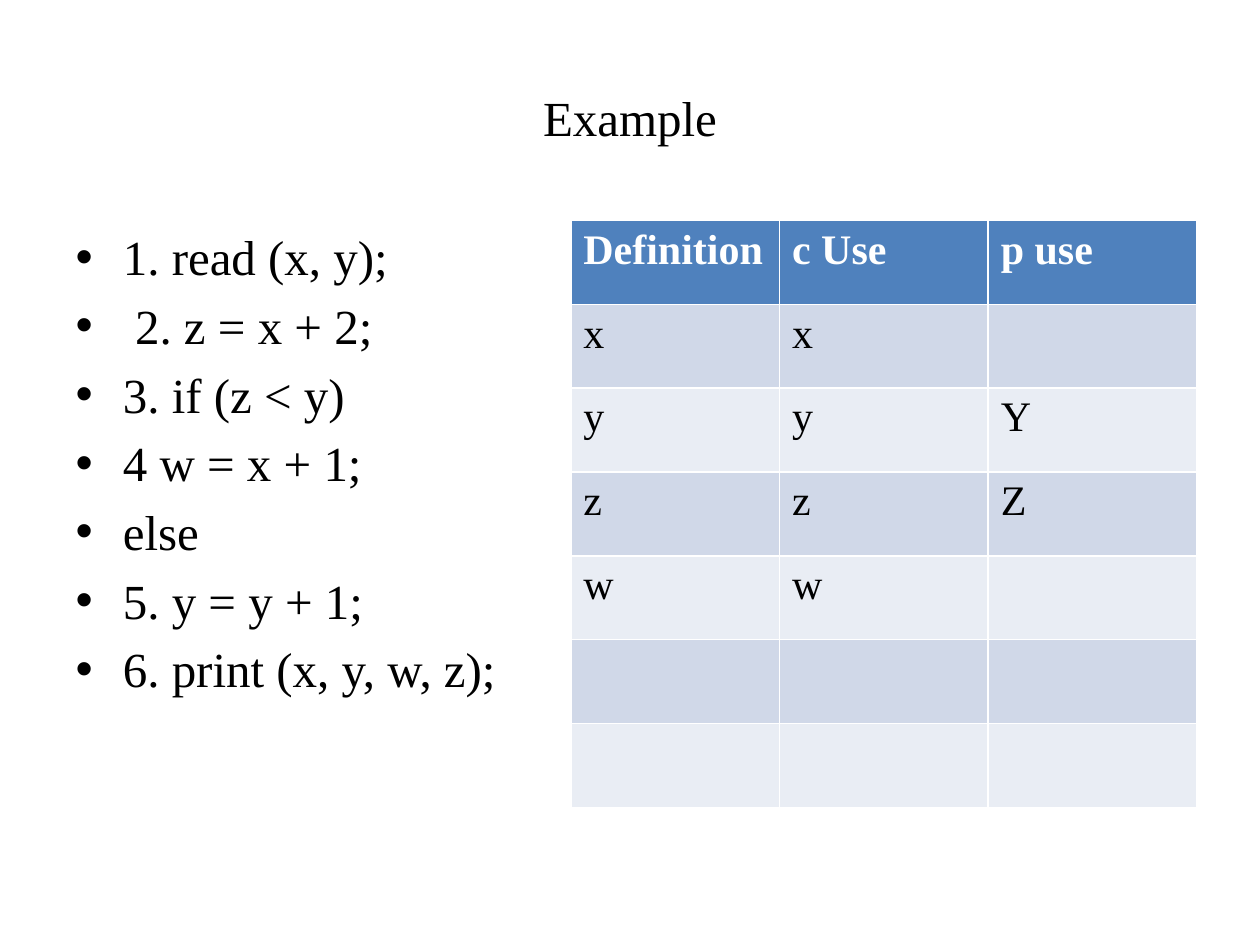
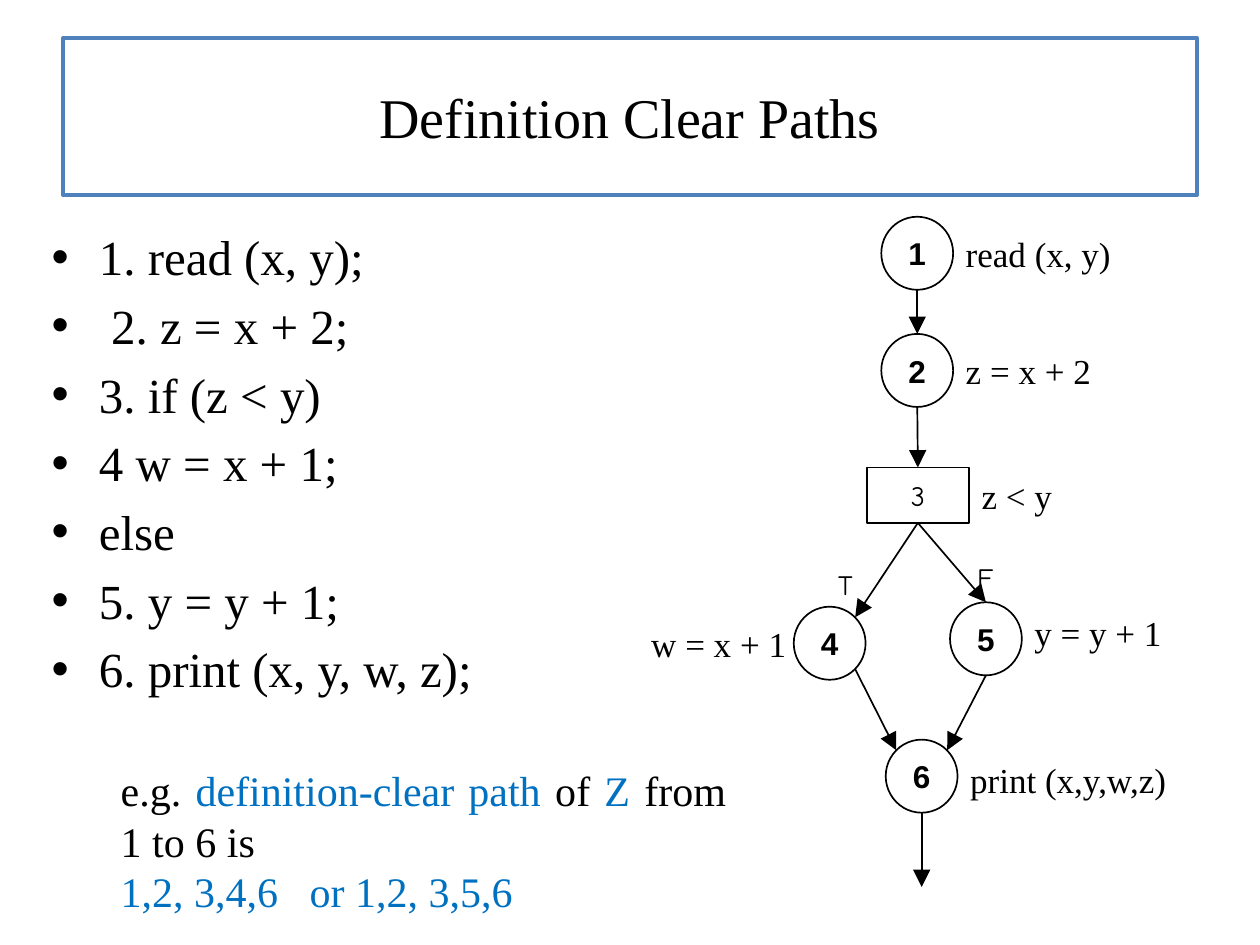
from dataclasses import dataclass

from lxml.etree import SubElement
from pptx import Presentation
from pptx.dml.color import RGBColor
from pptx.enum.shapes import MSO_CONNECTOR, MSO_SHAPE
from pptx.enum.text import MSO_ANCHOR, PP_ALIGN
from pptx.oxml.ns import qn
from pptx.util import Inches, Pt

COLORS = {
    "text": "000000",
    "paper": "FFFFFF",
    "accent": "4F81BD",
    "band_dark": "D0D8E8",
    "band_light": "E9EDF4",
    "highlight": "0070C0",
}
SERIF, SANS, HAND = "Times New Roman", "Arial", "Comic Neue"
SLIDE_WIDTH, SLIDE_HEIGHT = Inches(10), Inches(7.5)
COLUMN, ROW = SLIDE_WIDTH / 100, SLIDE_HEIGHT / 75
CIRCLE_WIDTH, CIRCLE_HEIGHT = 5.7, 5.8
DECISION_WIDTH, DECISION_HEIGHT = 8.1, 4.4
DIAGONAL = 0.71
RULE_WIDTH = Pt(0.96)

PROGRAM = [
    "1. read (x, y);",
    " 2. z = x + 2;",
    "3. if (z < y)",
    "4 w = x + 1;",
    "else",
    "5. y = y + 1;",
    "6. print (x, y, w, z);",
]
USES = [
    ("Definition", "c Use", "p use"),
    ("x", "x", ""),
    ("y", "y", "Y"),
    ("z", "z", "Z"),
    ("w", "w", ""),
    ("", "", ""),
    ("", "", ""),
]


@dataclass(frozen=True)
class Box:
    """A region in grid columns and rows."""

    left: float
    top: float
    width: float
    height: float

    def lengths(self):
        """Return left, top, width and height as slide lengths."""
        return (round(self.left * COLUMN), round(self.top * ROW),
                round(self.width * COLUMN), round(self.height * ROW))


@dataclass(frozen=True)
class Node:
    """A step of the flow graph, centred in grid units within its diagram."""

    x: float
    y: float
    statement: str
    label_shift: float = 0
    label_on_left: bool = False
    decision: bool = False

    @property
    def size(self):
        """Return the width and height of the node."""
        if self.decision:
            return DECISION_WIDTH, DECISION_HEIGHT
        return CIRCLE_WIDTH, CIRCLE_HEIGHT

    def rim(self, across, down):
        """Return the point at a signed share of the half width and height."""
        width, height = self.size
        return self.x + across * width / 2, self.y + down * height / 2


TOP, BOTTOM = (0, -1), (0, 1)
TOP_LEFT, TOP_RIGHT = (-DIAGONAL, -DIAGONAL), (DIAGONAL, -DIAGONAL)
BOTTOM_RIGHT = (DIAGONAL, DIAGONAL)
SITES = {TOP: 0, BOTTOM: 2}

NODES = {
    "1": Node(21.2, 2.9, "read (x, y)"),
    "2": Node(21.2, 12.2, "z = x + 2"),
    "3": Node(21.25, 22.1, "z < y", decision=True),
    "4": Node(14.25, 33.85, "w = x + 1", label_on_left=True),
    "5": Node(26.65, 33.5, "y = y + 1", label_shift=-0.5),
    "6": Node(21.55, 44.4, "print (x,y,w,z)", label_shift=0.3),
}
EDGES = [
    ("1", BOTTOM, "2", TOP),
    ("2", BOTTOM, "3", TOP),
    ("3", BOTTOM, "4", TOP_RIGHT),
    ("3", BOTTOM, "5", TOP),
    ("4", BOTTOM_RIGHT, "6", TOP_LEFT),
    ("5", BOTTOM, "6", TOP_RIGHT),
]
BRANCHES = {"T": (15.5, 29.2), "F": (26.6, 28.6)}


def rgb(name):
    """Return a palette colour."""
    return RGBColor.from_string(COLORS[name])


def write(paragraph, text, size, font=SERIF, color="text", bold=False):
    """Add one formatted run to a paragraph."""
    run = paragraph.add_run()
    run.text = text
    run.font.name, run.font.size, run.font.bold = font, Pt(size), bold
    run.font.color.rgb = rgb(color)


def place(shape, box):
    """Move a shape onto a box."""
    shape.left, shape.top, shape.width, shape.height = box.lengths()


def clear_insets(frame):
    """Remove the margins of a text frame and centre it vertically."""
    frame.margin_left = frame.margin_right = 0
    frame.margin_top = frame.margin_bottom = 0
    frame.vertical_anchor = MSO_ANCHOR.MIDDLE


def add_title(slide, box, text, size, framed=False):
    """Fill the title placeholder, with a frame if asked."""
    title = slide.shapes.title
    place(title, box)
    write(title.text_frame.paragraphs[0], text, size)
    if framed:
        title.fill.solid()
        title.fill.fore_color.rgb = rgb("paper")
        title.line.color.rgb = rgb("accent")
        title.line.width = Pt(2)


def add_program(slide, box):
    """List the program's statements in the body placeholder."""
    body = slide.placeholders[1]
    place(body, box)
    frame = body.text_frame
    for index, statement in enumerate(PROGRAM):
        paragraph = frame.add_paragraph() if index else frame.paragraphs[0]
        write(paragraph, statement, 28)


def add_uses(slide, box):
    """Tabulate the definitions and uses of each variable."""
    table = slide.shapes.add_table(len(USES), len(USES[0]), *box.lengths()).table
    for row, variables in enumerate(USES):
        header = row == 0
        band = "accent" if header else "band_dark" if row % 2 else "band_light"
        for column, variable in enumerate(variables):
            cell = table.cell(row, column)
            cell.fill.solid()
            cell.fill.fore_color.rgb = rgb(band)
            if variable:
                write(cell.text_frame.paragraphs[0], variable, 24,
                      color="paper" if header else "text", bold=header)


def add_label(slide, box, text, align, size=20, font=SERIF):
    """Add a vertically centred line of text."""
    frame = slide.shapes.add_textbox(*box.lengths()).text_frame
    frame.word_wrap = True
    clear_insets(frame)
    frame.paragraphs[0].alignment = align
    write(frame.paragraphs[0], text, size, font)


def add_node(slide, box, number, node):
    """Draw a node with its number and statement, and return its shape."""
    width, height = node.size
    left, top = node.rim(-1, -1)
    outline = Box(box.left + left, box.top + top, width, height)
    preset = MSO_SHAPE.RECTANGLE if node.decision else MSO_SHAPE.OVAL
    shape = slide.shapes.add_shape(preset, *outline.lengths())
    shape.shadow.inherit = False
    shape.fill.background()
    shape.line.color.rgb = rgb("text")
    shape.line.width = RULE_WIDTH
    clear_insets(shape.text_frame)
    paragraph = shape.text_frame.paragraphs[0]
    paragraph.alignment = PP_ALIGN.CENTER
    if node.decision:
        write(paragraph, number, 16, HAND)
    else:
        write(paragraph, number, 18, SANS, bold=True)

    label_width, label_height = 18, 3.5
    if node.label_on_left:
        label_left, align = outline.left - 0.6 - label_width, PP_ALIGN.RIGHT
    else:
        label_left, align = outline.left + width + 1, PP_ALIGN.LEFT
    label_top = box.top + node.y + node.label_shift - label_height / 2
    add_label(slide, Box(label_left, label_top, label_width, label_height),
              node.statement, align)
    return shape


def add_arrow(slide, box, start, end):
    """Draw an arrow between two points of a box."""
    points = [round(length) for x, y in (start, end)
              for length in ((box.left + x) * COLUMN, (box.top + y) * ROW)]
    arrow = slide.shapes.add_connector(MSO_CONNECTOR.STRAIGHT, *points)
    arrow.line.color.rgb = rgb("text")
    arrow.line.width = RULE_WIDTH
    properties = arrow.line._get_or_add_ln()
    SubElement(properties, qn("a:tailEnd"), type="triangle", w="lg", len="lg")
    SubElement(arrow._element.spPr, qn("a:effectLst"))
    return arrow


def add_flow_graph(slide, box):
    """Draw the program's flow graph."""
    shapes = {number: add_node(slide, box, number, node)
              for number, node in NODES.items()}
    for source, exit_side, target, entry_side in EDGES:
        arrow = add_arrow(slide, box, NODES[source].rim(*exit_side),
                          NODES[target].rim(*entry_side))
        if NODES[source].decision:
            arrow.begin_connect(shapes[source], SITES[exit_side])
        if NODES[target].decision:
            arrow.end_connect(shapes[target], SITES[entry_side])
    last = NODES["6"]
    add_arrow(slide, box, last.rim(*BOTTOM), (last.x, box.height))
    for branch, (x, y) in BRANCHES.items():
        add_label(slide, Box(box.left + x - 1.5, box.top + y - 1.5, 3, 3),
                  branch, PP_ALIGN.CENTER, 16, HAND)


def add_path_note(slide, box):
    """Explain the definition-clear paths of Z."""
    frame = slide.shapes.add_textbox(*box.lengths()).text_frame
    frame.word_wrap = True
    question, answer = frame.paragraphs[0], frame.add_paragraph()
    question.alignment = answer.alignment = PP_ALIGN.JUSTIFY
    for text, color in (("e.g. ", "text"),
                        ("definition-clear path ", "highlight"),
                        ("of", "text"),
                        (" Z ", "highlight"),
                        ("from 1 to 6 is", "text")):
        write(question, text, 24, color=color)
    stops = SubElement(answer._p.get_or_add_pPr(), qn("a:tabLst"))
    SubElement(stops, qn("a:tab"), pos=str(round(15 * COLUMN)), algn="l")
    write(answer, "1,2, 3,4,6\tor 1,2, 3,5,6", 24, color="highlight")


def build_example(slide, title_box):
    """Build the slide with the program and its table of uses."""
    add_title(slide, title_box, "Example", 28)
    add_program(slide, Box(5, 17.5, 44.2, 49.5))
    add_uses(slide, Box(45.3, 17.5, 49.7, 46.6))


def build_clear_paths(slide, title_box):
    """Build the slide with the program and its flow graph."""
    add_title(slide, title_box, "Definition Clear Paths", 32, framed=True)
    add_program(slide, Box(3.1, 17.5, 44.2, 49.5))
    add_flow_graph(slide, Box(51.6, 17.2, 43.7, 53.2))
    add_path_note(slide, Box(8.6, 60.2, 50, 13.1))


def main():
    """Build and save the presentation."""
    deck = Presentation()
    deck.slide_width, deck.slide_height = SLIDE_WIDTH, SLIDE_HEIGHT
    title_box = Box(5, 3, 90, 12.5)
    for build in (build_example, build_clear_paths):
        build(deck.slides.add_slide(deck.slide_layouts[1]), title_box)
    deck.save("out.pptx")


if __name__ == "__main__":
    main()
